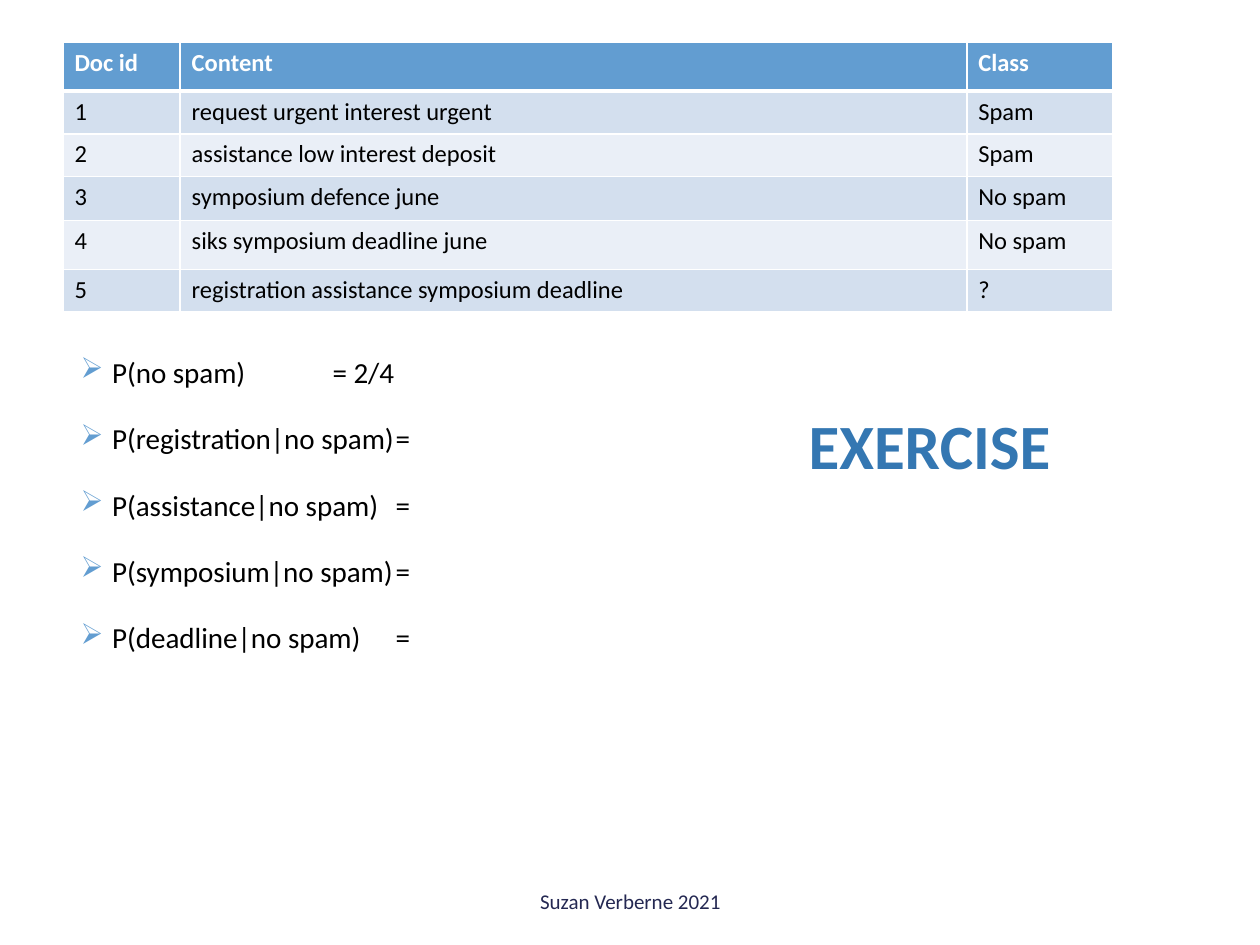
from dataclasses import dataclass

import pptx
import pptx.dml.color
import pptx.enum.text
import pptx.oxml
import pptx.oxml.ns
import pptx.util
from lxml import etree

Pt = pptx.util.Pt
Align = pptx.enum.text.PP_ALIGN
Anchor = pptx.enum.text.MSO_ANCHOR

FONT = "Calibri"
BLACK, WHITE, ACCENT = "000000", "FFFFFF", "629DD1"
BAND_FILLS = ("D3DFEE", "EAEFF7")

COLUMN_WIDTHS = (67, 449.5, 83.5)
ROW_HEIGHTS = (28, 24.5, 24.5, 25, 28, 24.5)
DOCUMENTS = (
    ("Doc id", "Content", "Class"),
    ("1", "request urgent interest urgent", "Spam"),
    ("2", "assistance low interest deposit", "Spam"),
    ("3", "symposium defence june", "No spam"),
    ("4", "siks symposium deadline june", "No spam"),
    ("5", "registration assistance symposium deadline", "?"),
)
PROBABILITIES = (
    "P(no spam)\t\t= 2/4",
    "P(registration|no spam)\t=",
    "P(assistance|no spam)\t=",
    "P(symposium|no spam)\t=",
    "P(deadline|no spam)\t=",
)


@dataclass(frozen=True)
class Box:
    left: float
    top: float
    width: float
    height: float

    def lengths(self):
        return Pt(self.left), Pt(self.top), Pt(self.width), Pt(self.height)


@dataclass(frozen=True)
class Style:
    size: float
    color: str
    bold: bool = False


@dataclass(frozen=True)
class Label:
    text: str
    box: Box
    style: Style
    anchor: Anchor


LABELS = (
    Label("Suzan Verberne 2021", Box(246, 500.5, 228.5, 29),
          Style(12, "242852"), Anchor.MIDDLE),
    Label("EXERCISE", Box(390, 229, 282.5, 82),
          Style(36, "3477B2", True), Anchor.TOP),
)


def rgb(color: str) -> pptx.dml.color.RGBColor:
    return pptx.dml.color.RGBColor.from_string(color)


def format_runs(paragraph, style: Style) -> None:
    for run in paragraph.runs:
        run.font.name = FONT
        run.font.size = Pt(style.size)
        run.font.bold = style.bold
        run.font.color.rgb = rgb(style.color)


def add_text_frame(slide, box: Box):
    text_frame = slide.shapes.add_textbox(*box.lengths()).text_frame
    text_frame.word_wrap = True
    return text_frame


def add_label(slide, label: Label) -> None:
    text_frame = add_text_frame(slide, label.box)
    text_frame.vertical_anchor = label.anchor
    text_frame.text = label.text
    paragraph = text_frame.paragraphs[0]
    paragraph.alignment = Align.CENTER
    format_runs(paragraph, label.style)


def add_bullet(paragraph, character: str, color: str, indent: float) -> None:
    properties = paragraph._p.get_or_add_pPr()
    properties.set("marL", str(Pt(indent)))
    properties.set("indent", str(-Pt(indent)))
    bullet_color = etree.SubElement(properties, pptx.oxml.ns.qn("a:buClr"))
    etree.SubElement(bullet_color, pptx.oxml.ns.qn("a:srgbClr"), val=color)
    etree.SubElement(properties, pptx.oxml.ns.qn("a:buChar"), char=character)


def add_probabilities(slide, box: Box) -> None:
    text_frame = add_text_frame(slide, box)
    text_frame.text = "\n".join(PROBABILITIES)
    for index, paragraph in enumerate(text_frame.paragraphs):
        add_bullet(paragraph, "➢", ACCENT, 18)
        paragraph.space_before = Pt(18 if index else 0)
        format_runs(paragraph, Style(16.6, BLACK))


def set_borders(cell, widths: dict[str, float]) -> None:
    """Draw white borders; widths are keyed by side, in schema order L, R, T, B."""
    properties = cell._tc.get_or_add_tcPr()
    for side, width in widths.items():
        properties.append(pptx.oxml.parse_xml(
            f'<a:ln{side} {pptx.oxml.ns.nsdecls("a")} w="{Pt(width)}">'
            f'<a:solidFill><a:srgbClr val="{WHITE}"/></a:solidFill></a:ln{side}>'))


def add_documents(slide, box: Box) -> None:
    table = slide.shapes.add_table(
        len(DOCUMENTS), len(COLUMN_WIDTHS), *box.lengths()).table
    for column, width in zip(table.columns, COLUMN_WIDTHS):
        column.width = Pt(width)
    for row_index, (row, height) in enumerate(zip(table.rows, ROW_HEIGHTS)):
        row.height = Pt(height)
        header = row_index == 0
        fill = ACCENT if header else BAND_FILLS[(row_index - 1) % 2]
        style = Style(14, WHITE if header else BLACK, header)
        borders = {"L": 1, "R": 1, "T": 3 if row_index == 1 else 1,
                   "B": 3 if header else 1}
        for cell, text in zip(row.cells, DOCUMENTS[row_index]):
            cell.margin_left = cell.margin_right = Pt(6.6)
            cell.margin_top = cell.margin_bottom = Pt(3.3)
            set_borders(cell, borders)
            cell.fill.solid()
            cell.fill.fore_color.rgb = rgb(fill)
            cell.text_frame.text = text
            format_runs(cell.text_frame.paragraphs[0], style)


def main() -> None:
    presentation = pptx.Presentation()
    presentation.slide_width = Pt(720)
    presentation.slide_height = Pt(540)
    slide = presentation.slides.add_slide(presentation.slide_layouts[6])
    add_probabilities(slide, Box(39, 199, 612, 284))
    add_documents(slide, Box(36, 24, sum(COLUMN_WIDTHS), sum(ROW_HEIGHTS)))
    for label in LABELS:
        add_label(slide, label)
    presentation.save("out.pptx")


if __name__ == "__main__":
    main()
